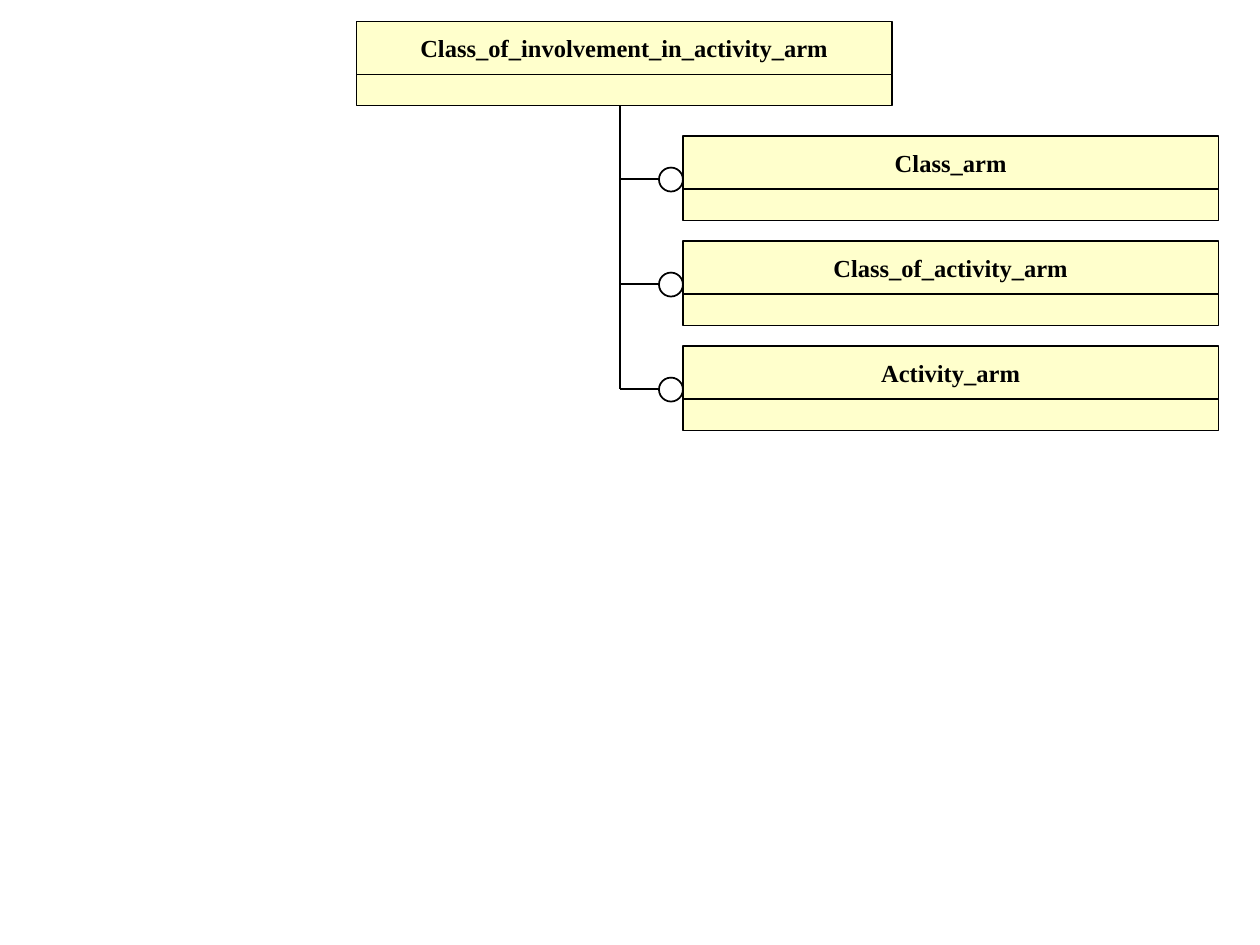
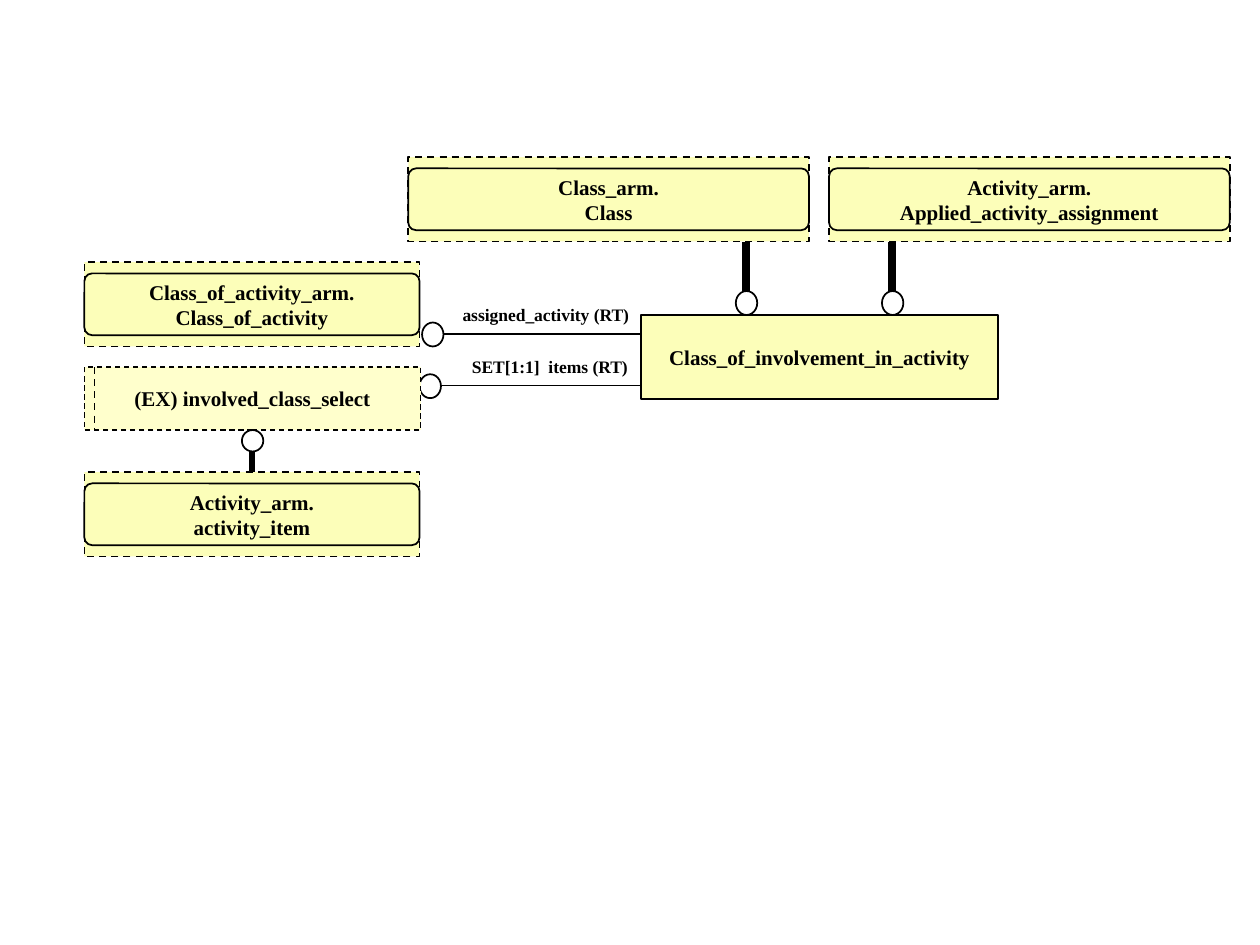
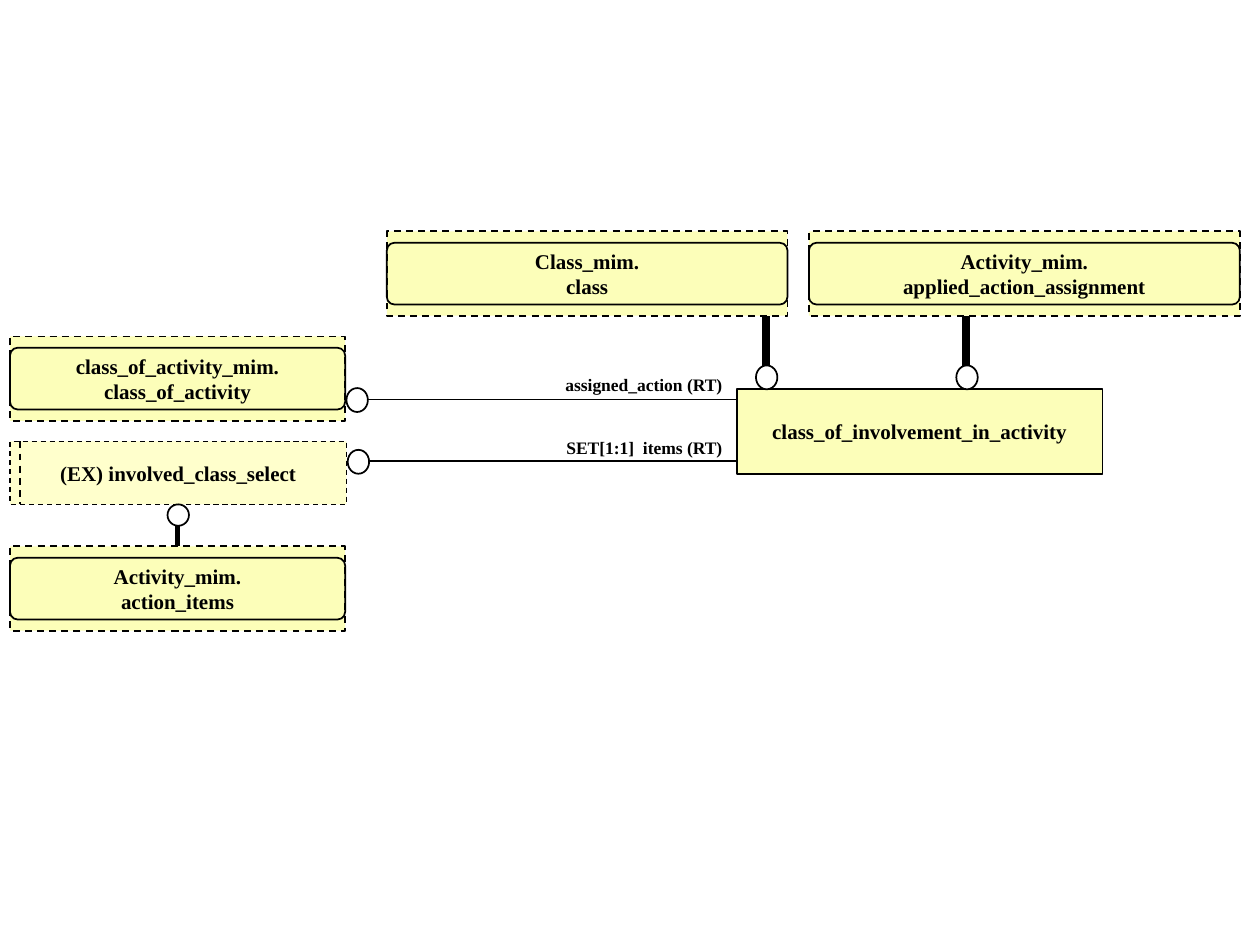
from dataclasses import dataclass

from pptx import Presentation
from pptx.dml.color import RGBColor
from pptx.enum.dml import MSO_LINE
from pptx.enum.shapes import MSO_CONNECTOR, MSO_SHAPE
from pptx.enum.text import MSO_AUTO_SIZE, PP_ALIGN
from pptx.oxml.ns import qn
from pptx.shapes.autoshape import Shape
from pptx.shapes.connector import Connector
from pptx.slide import Slide
from pptx.util import Inches, Pt

RECT, ROUND, OVAL = MSO_SHAPE.RECTANGLE, MSO_SHAPE.ROUNDED_RECTANGLE, MSO_SHAPE.OVAL
STRAIGHT = MSO_CONNECTOR.STRAIGHT
DASH = MSO_LINE.DASH
CENTER, RIGHT = PP_ALIGN.CENTER, PP_ALIGN.RIGHT
GROW = MSO_AUTO_SIZE.SHAPE_TO_FIT_TEXT
TOP = 0

FONT = "Times New Roman"
INK, PAPER, CREAM, YELLOW = "000000", "FFFFFF", "FFFFCC", "FCFEB9"
STEP = 5 / 6  # distance between rows


@dataclass
class Ref:
    """An entity borrowed from another schema."""
    left: float
    width: float
    schema: str
    name: str


@dataclass
class Parent:
    ref: Ref
    drop: float  # x of the thick line down to the subject


@dataclass
class Link:
    """An attribute line from the subject to a ring on the left."""
    text: str
    y: float
    ring: float
    left: float
    top: float
    width: float


@dataclass
class Model:
    left: float
    top: float
    subject: str
    start: float
    width: float
    parents: list[Parent]
    target: Ref
    item: Ref
    links: list[Link]


def color(code: str) -> RGBColor:
    return RGBColor.from_string(code)


def write(shape: Shape, text: str, *, size: float, align=CENTER, wrap: bool = False) -> None:
    frame = shape.text_frame
    frame.word_wrap = wrap
    frame.text = text
    for para in frame.paragraphs:
        para.alignment = align
        font = para.font
        font.name, font.size, font.bold = FONT, Pt(size), True
        font.color.rgb = color(INK)


def stroke(item: Shape | Connector, weight: float, dash=None) -> None:
    item.line.color.rgb = color(INK)
    item.line.width = Pt(weight)
    if dash is not None:
        item.line.dash_style = dash


def draw(shapes, kind, left: float, top: float, width: float, height: float,
         fill: str | None = None, weight: float = 1, dash=None) -> Shape:
    shape = shapes.add_shape(kind, Inches(left), Inches(top), Inches(width), Inches(height))
    shape.shadow.inherit = False
    if fill:
        shape.fill.solid()
        shape.fill.fore_color.rgb = color(fill)
    else:
        shape.fill.background()
    stroke(shape, weight, dash)
    return shape


def join(slide: Slide, x1: float, y1: float, x2: float, y2: float,
         weight: float = 1, dash=None) -> Connector:
    line = slide.shapes.add_connector(STRAIGHT, Inches(x1), Inches(y1), Inches(x2), Inches(y2))
    stroke(line, weight, dash)
    props = line._element.spPr
    props.append(props.makeelement(qn("a:effectLst"), {}))
    return line


def ring(slide: Slide, left: float, top: float, width: float = 0.17, height: float = 0.19) -> None:
    draw(slide.shapes, OVAL, left, top, width, height, PAPER)


def schema(slide: Slide, left: float, top: float, name: str) -> None:
    """Draw a schema box: a named head over an empty body."""
    group = slide.shapes.add_group_shape().shapes
    head = draw(group, RECT, left, top, 4.25, 0.42, CREAM, 0.75)
    write(head, name, size=14)
    draw(group, RECT, left, top + 0.42, 4.25, 0.25, CREAM, 0.75)


def refer(slide: Slide, ref: Ref, top: float) -> Shape:
    """Draw a dashed box with a rounded frame inside; return the box."""
    group = slide.shapes.add_group_shape().shapes
    box = draw(group, RECT, ref.left, top, ref.width, 0.67, YELLOW, dash=DASH)
    write(box, f"{ref.schema}.\n{ref.name}", size=12)
    frame = draw(group, ROUND, ref.left, top + 0.09, ref.width, 0.49)
    frame.adjustments[0] = 0.125
    return box


def choose(slide: Slide, left: float, top: float, item: Shape) -> None:
    """Draw the select type and the thick line that joins it to its item."""
    box = draw(slide.shapes, RECT, left, top, 2.67, 0.5, CREAM, 0.75, DASH)
    write(box, "(EX) involved_class_select", size=12)
    join(slide, left + 0.08, top, left + 0.08, top + 0.5, dash=DASH)
    mid = left + 1.33
    stem = join(slide, mid, top + STEP, mid, top + 0.67, 3)
    stem.begin_connect(item, TOP)
    ring(slide, mid - 0.08, top + 0.5, height=0.17)


def relate(slide: Slide, link: Link, end: float) -> None:
    join(slide, link.ring + 0.17, link.y, end, link.y)
    label = slide.shapes.add_textbox(
        Inches(link.left), Inches(link.top), Inches(link.width), Inches(0.27))
    write(label, link.text, size=10, align=RIGHT, wrap=True)
    label.text_frame.auto_size = GROW
    ring(slide, link.ring, link.y - 0.09)


def outline(slide: Slide, name: str, used: list[str]) -> None:
    """Draw a schema and the schemas it uses, hung on one trunk."""
    schema(slide, 2.83, 0.17, name)
    trunk, first = 4.92, 1.42
    join(slide, trunk, first + STEP * (len(used) - 1), trunk, 0.83, 0.75)
    for row, part in enumerate(used):
        y = first + STEP * row
        schema(slide, 5.42, y - 0.34, part)
        join(slide, trunk, y, 5.25, y, 0.75)
        ring(slide, 5.23, y - 0.09, width=0.19)


def diagram(slide: Slide, model: Model) -> None:
    top = model.top
    box = draw(slide.shapes, RECT, model.start, top + 0.42, model.width, 0.67, YELLOW)
    write(box, model.subject, size=12)
    for parent in model.parents:
        refer(slide, parent.ref, top - STEP)
        join(slide, parent.drop, top - 0.16, parent.drop, top + 0.25, 4.5)
        ring(slide, parent.drop - 0.08, top + 0.23)
    refer(slide, model.target, top)
    for link in model.links:
        relate(slide, link, model.start)
    item = refer(slide, model.item, top + 2 * STEP)
    choose(slide, model.left, top + STEP, item)


ARM = Model(
    0.67, 2.08, "Class_of_involvement_in_activity", 5.09, 2.83,
    [Parent(Ref(3.24, 3.18, "Class_arm", "Class"), 5.92),
     Parent(Ref(6.58, 3.18, "Activity_arm", "Applied_activity_assignment"), 7.08)],
    Ref(0.67, 2.66, "Class_of_activity_arm", "Class_of_activity"),
    Ref(0.67, 2.66, "Activity_arm", "activity_item"),
    [Link("assigned_activity (RT)", 2.65, 3.35, 2.62, 2.36, 2.47),
     Link("SET[1:1]  items (RT)", 3.06, 3.33, 2.61, 2.78, 2.47)])

MIM = Model(
    0.08, 2.67, "class_of_involvement_in_activity", 5.85, 2.9,
    [Parent(Ref(3.07, 3.18, "Class_mim", "class"), 6.08),
     Parent(Ref(6.42, 3.42, "Activity_mim", "applied_action_assignment"), 7.67)],
    Ref(0.08, 2.66, "class_of_activity_mim", "class_of_activity"),
    Ref(0.08, 2.66, "Activity_mim", "action_items"),
    [Link("assigned_action (RT)", 3.17, 2.75, 3, 2.92, 2.83),
     Link("SET[1:1]  items (RT)", 3.66, 2.76, 4.39, 3.42, 1.44)])


def main() -> None:
    deck = Presentation()
    deck.slide_width, deck.slide_height = Inches(10), Inches(7.5)
    blank = deck.slide_layouts[6]
    outline(deck.slides.add_slide(blank), "Class_of_involvement_in_activity_arm",
            ["Class_arm", "Class_of_activity_arm", "Activity_arm"])
    for model in (ARM, MIM):
        diagram(deck.slides.add_slide(blank), model)
    deck.save("out.pptx")


if __name__ == "__main__":
    main()
